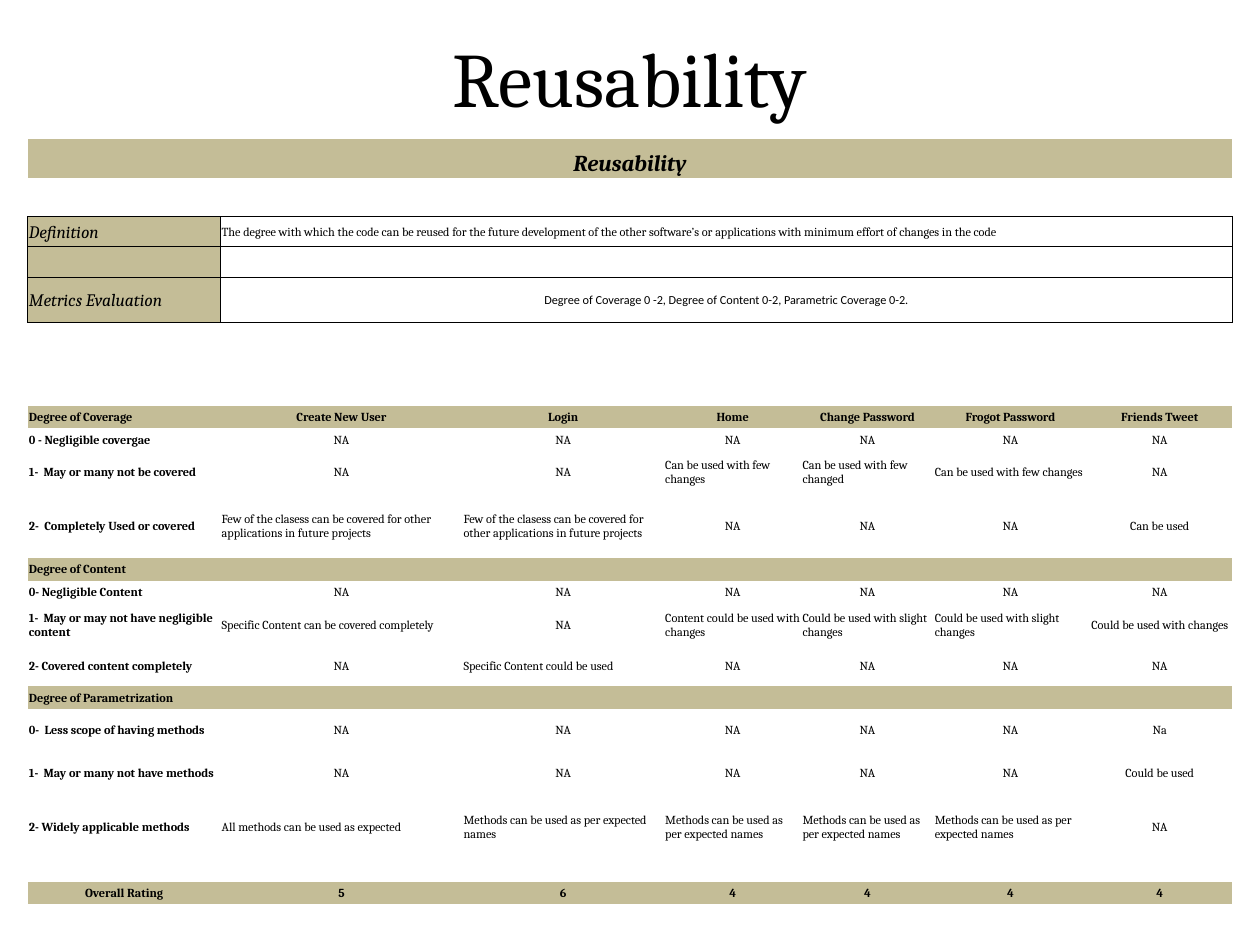
"""Build the Reusability metrics slide."""
import pptx
import pptx.dml.color
import pptx.enum.text
import pptx.oxml
import pptx.oxml.ns
import pptx.util
from pptx.util import Inches, Pt

ALIGN = pptx.enum.text.PP_ALIGN
ANCHOR = pptx.enum.text.MSO_ANCHOR
BLACK, TAN = "000000", "C4BD97"

FEW_CLASSES = "Few of the clasess can be covered for other applications in future projects"
NAMED_METHODS = "Methods can be used as per expected names"
SLIGHT_CHANGES = "Could be used with slight changes"

COLUMN_WIDTHS = [1.53, 1.92, 1.6, 1.09, 1.05, 1.22, 1.15]
TABLE_ROWS = [
    (0.31, "banner", ["Reusability"]),
    (0.31, "plain", []),
    (0.24, "boxed", ["Definition", "The degree with which the code can be reused for the future "
                     "development of the other software’s or applications with minimum effort "
                     "of changes in the code"]),
    (0.24, "boxed", []),
    (0.36, "boxed", ["Metrics Evaluation", "Degree of Coverage 0 -2, Degree of Content 0-2, "
                     "Parametric Coverage 0-2."]),
    (0.24, "plain", []),
    (0.24, "plain", []),
    (0.18, "plain", []),
    (0.18, "band", ["Degree of Coverage", "Create New User", "Login", "Home",
                    "Change Password", "Frogot Password", "Friends Tweet"]),
    (0.18, "plain", ["0 - Negligible covergae"] + ["NA"] * 6),
    (0.34, "plain", ["1-  May or many not be covered", "NA", "NA", "Can be used with few changes",
                     "Can be used with few changed", "Can be used with few changes", "NA"]),
    (0.51, "plain", ["2-  Completely Used or covered", FEW_CLASSES, FEW_CLASSES,
                     "NA", "NA", "NA", "Can be used"]),
    (0.18, "band", ["Degree of Content"]),
    (0.18, "plain", ["0- Negligible Content"] + ["NA"] * 6),
    (0.34, "plain", ["1-  May or may not have negligible content",
                     "Specific Content can be covered completely", "NA",
                     "Content could be used with changes", SLIGHT_CHANGES, SLIGHT_CHANGES,
                     "Could be used with changes"]),
    (0.32, "plain", ["2- Covered content completely", "NA", "Specific Content could be used",
                     "NA", "NA", "NA", "NA"]),
    (0.18, "band", ["Degree of Parametrization"]),
    (0.34, "plain", ["0-  Less scope of having methods"] + ["NA"] * 5 + ["Na"]),
    (0.34, "plain", ["1-  May or many not have methods"] + ["NA"] * 5 + ["Could be used"]),
    (0.51, "plain", ["2- Widely applicable methods", "All methods can be used as expected"]
     + [NAMED_METHODS] * 4 + ["NA"]),
    (0.18, "plain", []),
    (0.18, "band", ["Overall Rating", "5", "6", "4", "4", "4", "4"]),
]
CENTERED = {"Reusability", "Overall Rating"}
LONGEST_CENTERED = 15
NO_GRID_STYLE = "{2D5ABB26-0587-4C30-8999-92F81FD0307C}"


def color(value):
    """Return the colour of a hex string."""
    return pptx.dml.color.RGBColor.from_string(value)


def write(para, text, align, **font_format):
    """Put one formatted run in a paragraph."""
    para.alignment = align
    span = para.add_run()
    span.text = text
    for name, value in font_format.items():
        setattr(span.font, name, value)
    span.font.color.rgb = color(BLACK)


def add_borders(cell):
    """Draw a thin black line on the four sides of a cell."""
    properties = cell._tc.get_or_add_tcPr()
    for side in "LRTB":
        properties.append(pptx.oxml.parse_xml(
            f'<a:ln{side} {pptx.oxml.ns.nsdecls("a")} w="{Pt(0.5)}"><a:solidFill>'
            f'<a:srgbClr val="{BLACK}"/></a:solidFill></a:ln{side}>'))


def font_for(kind, column):
    """Return the run format of a cell."""
    font = dict(name="Cambria", size=Pt(7), bold=kind == "band" or column == 0, italic=False)
    if kind == "banner":
        font.update(size=Pt(13), italic=True)
    elif kind == "boxed" and column == 0:
        font.update(size=Pt(10), bold=False, italic=True)
    return font


def align_for(text, column):
    """Centre short entries and the last column, and set the rest left."""
    if text in CENTERED:
        return ALIGN.CENTER
    is_long = len(text) > LONGEST_CENTERED and column < len(COLUMN_WIDTHS) - 1
    return ALIGN.LEFT if column == 0 or is_long else ALIGN.CENTER


def fill_cell(cell, kind, column, text):
    """Format one table cell and write its text."""
    margins = dict(margin_left=0.01, margin_right=0.01, margin_top=0.01, margin_bottom=0)
    for name, value in margins.items():
        setattr(cell, name, Inches(value))
    cell.vertical_anchor = ANCHOR.BOTTOM if kind == "banner" else ANCHOR.MIDDLE
    if kind == "boxed":
        add_borders(cell)
    if kind in ("banner", "band") or (kind == "boxed" and column == 0):
        cell.fill.solid()
        cell.fill.fore_color.rgb = color(TAN)
    else:
        cell.fill.background()
    para = cell.text_frame.paragraphs[0]
    if not text:
        para._p.append(pptx.oxml.parse_xml(
            f'<a:endParaRPr {pptx.oxml.ns.nsdecls("a")} sz="700"/>'))
        return
    font, align = font_for(kind, column), align_for(text, column)
    if text.startswith("Degree of Coverage 0"):
        font["name"], align = "Calibri", ALIGN.CENTER
    write(para, text, align, **font)


deck = pptx.Presentation()
deck.slide_width, deck.slide_height = Inches(10), Inches(7.5)
page = deck.slides.add_slide(deck.slide_layouts[5])

title = page.shapes.title
title.left, title.top, title.width, title.height = map(Inches, (0.5, 0.21, 9, 0.8))
title.text_frame.vertical_anchor = ANCHOR.MIDDLE
write(title.text_frame.paragraphs[0], "Reusability", ALIGN.CENTER, name="Cambria", size=Pt(44))

frame = page.shapes.add_table(len(TABLE_ROWS), len(COLUMN_WIDTHS), Inches(0.22), Inches(1.1),
                              Inches(9.57), Inches(6.07))
table = frame.table
table.first_row = table.horz_banding = False
table._tbl.tblPr.find(pptx.oxml.ns.qn("a:tableStyleId")).text = NO_GRID_STYLE
for column, width in zip(table.columns, COLUMN_WIDTHS):
    column.width = Inches(width)

last = len(COLUMN_WIDTHS) - 1
merge_start = {"banner": 0, "boxed": 1}
for row, (height, kind, texts) in enumerate(TABLE_ROWS):
    table.rows[row].height = Inches(height)
    if kind in merge_start:
        table.cell(row, merge_start[kind]).merge(table.cell(row, last))
    for column in range(last + 1):
        text = texts[column] if column < len(texts) else ""
        fill_cell(table.cell(row, column), kind, column, text)

deck.save("out.pptx")
